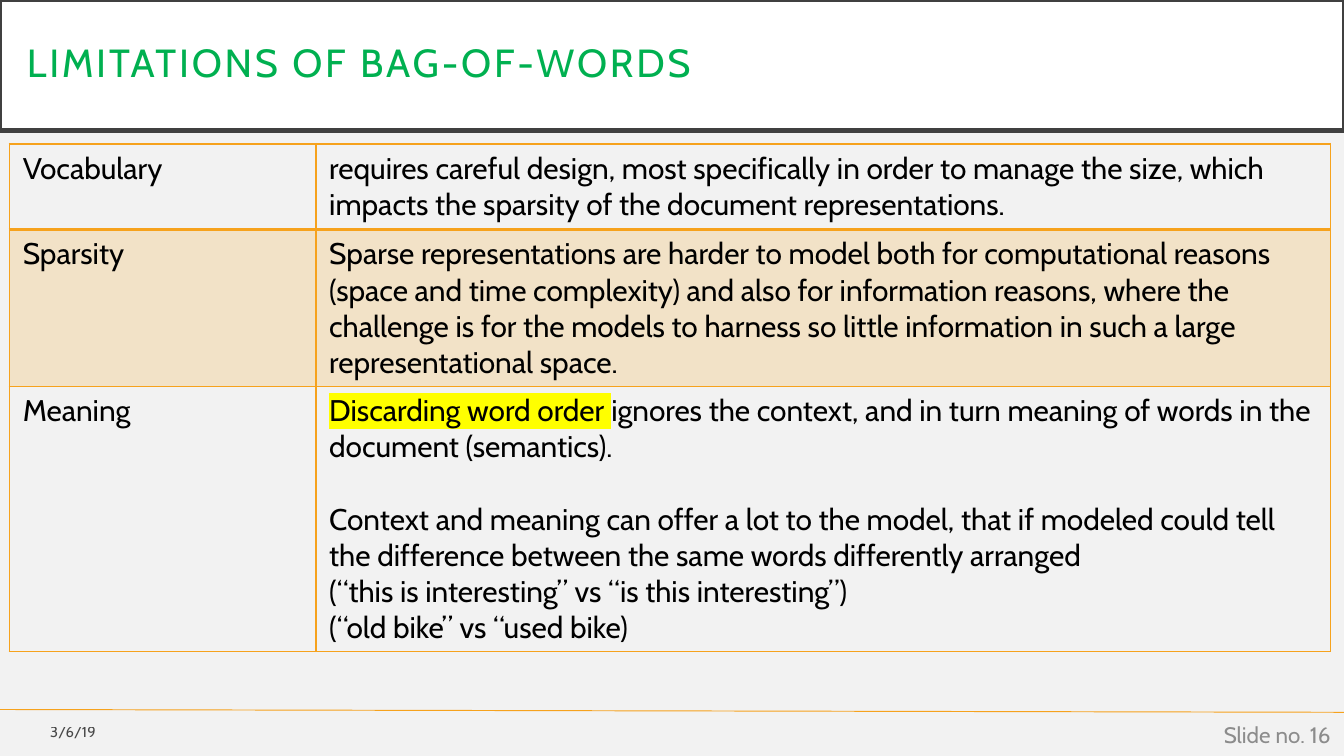
"""Build the slide on the limitations of bag-of-words."""
from dataclasses import dataclass

import pptx
import pptx.dml.color
import pptx.enum.shapes
import pptx.enum.text
import pptx.oxml.ns
import pptx.util
from lxml import etree

Pt = pptx.util.Pt
qn = pptx.oxml.ns.qn
ALIGN = pptx.enum.text.PP_ALIGN
MIDDLE = pptx.enum.text.MSO_ANCHOR.MIDDLE


@dataclass(frozen=True)
class Theme:
    """Colours, font and type sizes."""
    font: str = "Cabin"
    ground: str = "F2F2F2"
    white: str = "FFFFFF"
    frame: str = "404040"
    green: str = "00B050"
    black: str = "000000"
    gray: str = "8C8C8C"
    amber: str = "F6A21D"
    yellow: str = "FFFF00"
    title: float = 21
    body: float = 16
    number: float = 12
    date: float = 7.9


@dataclass(frozen=True)
class Claim:
    """One paragraph, with an optional marked opening."""
    text: str
    mark: str = ""
    gap: float = 0


@dataclass(frozen=True)
class Row:
    """One table row."""
    label: str
    claims: tuple
    height: float
    shaded: bool = False
    top: float = 1
    bottom: float = 1


@dataclass(frozen=True)
class Note:
    """One footer text."""
    text: str
    box: tuple
    size: float
    ink: str
    alpha: int = 100


LOOK = Theme()
COLS = (164.2, 543.6)
ROWS = (
    Row("Vocabulary", (
        Claim("requires careful design, most specifically in order to manage the size, "
              "which impacts the sparsity of the document representations."),
    ), 46, bottom=2),
    Row("Sparsity", (
        Claim("Sparse representations are harder to model both for computational reasons "
              "(space and time complexity) and also for information reasons, where the "
              "challenge is for the models to harness so little information in such a large "
              "representational space."),
    ), 84, shaded=True, top=2),
    Row("Meaning", (
        Claim("ignores the context, and in turn meaning of words in the document (semantics).",
              mark="Discarding word order "),
        Claim("Context and meaning can offer a lot to the model, that if modeled could tell "
              "the difference between the same words differently arranged", gap=19.4),
        Claim("(“this is interesting” vs “is this interesting”)"),
        Claim("(“old bike” vs “used bike)"),
    ), 142),
)
NOTES = (
    Note("3/6/19", (0, 382.3, 58.3, 19.4), LOOK.date, LOOK.black, 70),
    Note("Slide no. 16", (558, 383, 162, 21.6), LOOK.number, LOOK.gray),
)


def rgb(code: str) -> pptx.dml.color.RGBColor:
    """Turn a hex code into a colour."""
    return pptx.dml.color.RGBColor.from_string(code)


def fade(node, alpha: int) -> None:
    """Make the colours under a node partly transparent."""
    for tint in node.iter(qn("a:srgbClr")):
        etree.SubElement(tint, qn("a:alpha"), val=str(alpha * 1000))


def write(para, text: str, *, size: float = LOOK.body, ink: str = LOOK.black,
          alpha: int = 100, mark: str = "", track: float = 0) -> None:
    """Add a formatted run to a paragraph."""
    run = para.add_run()
    run.text = text
    run.font.size = Pt(size)
    run.font.name = LOOK.font
    run.font.color.rgb = rgb(ink)
    node = run._r.get_or_add_rPr()
    if alpha < 100:
        fade(node, alpha)
    if mark:
        light = etree.Element(qn("a:highlight"))
        etree.SubElement(light, qn("a:srgbClr"), val=mark)
        node.find(qn("a:solidFill")).addnext(light)
    if track:
        node.set("spc", str(round(track * 100)))


def edge(cell, row: Row) -> None:
    """Draw the four borders of a cell."""
    props = cell._tc.get_or_add_tcPr()
    sides = {"a:lnL": 1, "a:lnR": 1, "a:lnT": row.top, "a:lnB": row.bottom}
    for spot, (tag, width) in enumerate(sides.items()):
        line = etree.Element(qn(tag), w=str(int(Pt(width))))
        fill = etree.SubElement(line, qn("a:solidFill"))
        etree.SubElement(fill, qn("a:srgbClr"), val=LOOK.amber)
        props.insert(spot, line)


def fill_cell(cell, claims: tuple, row: Row) -> None:
    """Fill and format one cell."""
    if row.shaded:
        cell.fill.solid()
        cell.fill.fore_color.rgb = rgb(LOOK.amber)
        fade(cell._tc.get_or_add_tcPr(), 20)
    else:
        cell.fill.background()
    edge(cell, row)
    frame = cell.text_frame
    for spot, claim in enumerate(claims):
        para = frame.add_paragraph() if spot else frame.paragraphs[0]
        para.space_before = Pt(claim.gap)
        if claim.mark:
            write(para, claim.mark, mark=LOOK.yellow)
        write(para, claim.text)


def add_grid(slide) -> None:
    """Add the table of limits."""
    total = sum(row.height for row in ROWS)
    table = slide.shapes.add_table(len(ROWS), len(COLS), Pt(5), Pt(77),
                                   Pt(sum(COLS)), Pt(total)).table
    table.first_row = table.horz_banding = False
    for col, width in zip(table.columns, COLS):
        col.width = Pt(width)
    for spot, row in enumerate(ROWS):
        table.rows[spot].height = Pt(row.height)
        fill_cell(table.cell(spot, 0), (Claim(row.label),), row)
        fill_cell(table.cell(spot, 1), row.claims, row)


def add_title(slide) -> None:
    """Place and format the title."""
    title = slide.shapes.title
    title.left, title.top, title.width, title.height = Pt(0), Pt(0), Pt(720), Pt(70)
    title.fill.solid()
    title.fill.fore_color.rgb = rgb(LOOK.white)
    title.line.color.rgb = rgb(LOOK.frame)
    title.line.width = Pt(2.5)
    frame = title.text_frame
    frame.auto_size = pptx.enum.text.MSO_AUTO_SIZE.NONE
    frame.word_wrap = True
    frame.vertical_anchor = MIDDLE
    frame.margin_left = frame.margin_right = Pt(14.4)
    frame.margin_top = frame.margin_bottom = Pt(14.4)
    para = frame.paragraphs[0]
    para.alignment = ALIGN.LEFT
    para.line_spacing = 0.9
    write(para, "LIMITATIONS OF BAG-OF-WORDS", size=LOOK.title, ink=LOOK.green, track=1.5)


def add_rule(slide) -> None:
    """Draw the line above the footer."""
    rule = slide.shapes.add_connector(pptx.enum.shapes.MSO_CONNECTOR.STRAIGHT,
                                      Pt(0), Pt(380.1), Pt(720), Pt(381.6))
    rule.line.color.rgb = rgb(LOOK.amber)
    rule.line.width = Pt(0.5)
    etree.SubElement(rule._element.spPr, qn("a:effectLst"))


def add_note(slide, note: Note) -> None:
    """Add one footer text."""
    frame = slide.shapes.add_textbox(*map(Pt, note.box)).text_frame
    frame.word_wrap = True
    frame.vertical_anchor = MIDDLE
    para = frame.paragraphs[0]
    para.alignment = ALIGN.RIGHT
    write(para, note.text, size=note.size, ink=note.ink, alpha=note.alpha)


def main() -> None:
    """Build and save the deck."""
    deck = pptx.Presentation()
    deck.slide_width, deck.slide_height = Pt(720), Pt(405)
    slide = deck.slides.add_slide(deck.slide_layouts[5])
    slide.background.fill.solid()
    slide.background.fill.fore_color.rgb = rgb(LOOK.ground)
    add_rule(slide)
    add_title(slide)
    for note in NOTES:
        add_note(slide, note)
    add_grid(slide)
    deck.save("out.pptx")


if __name__ == "__main__":
    main()
